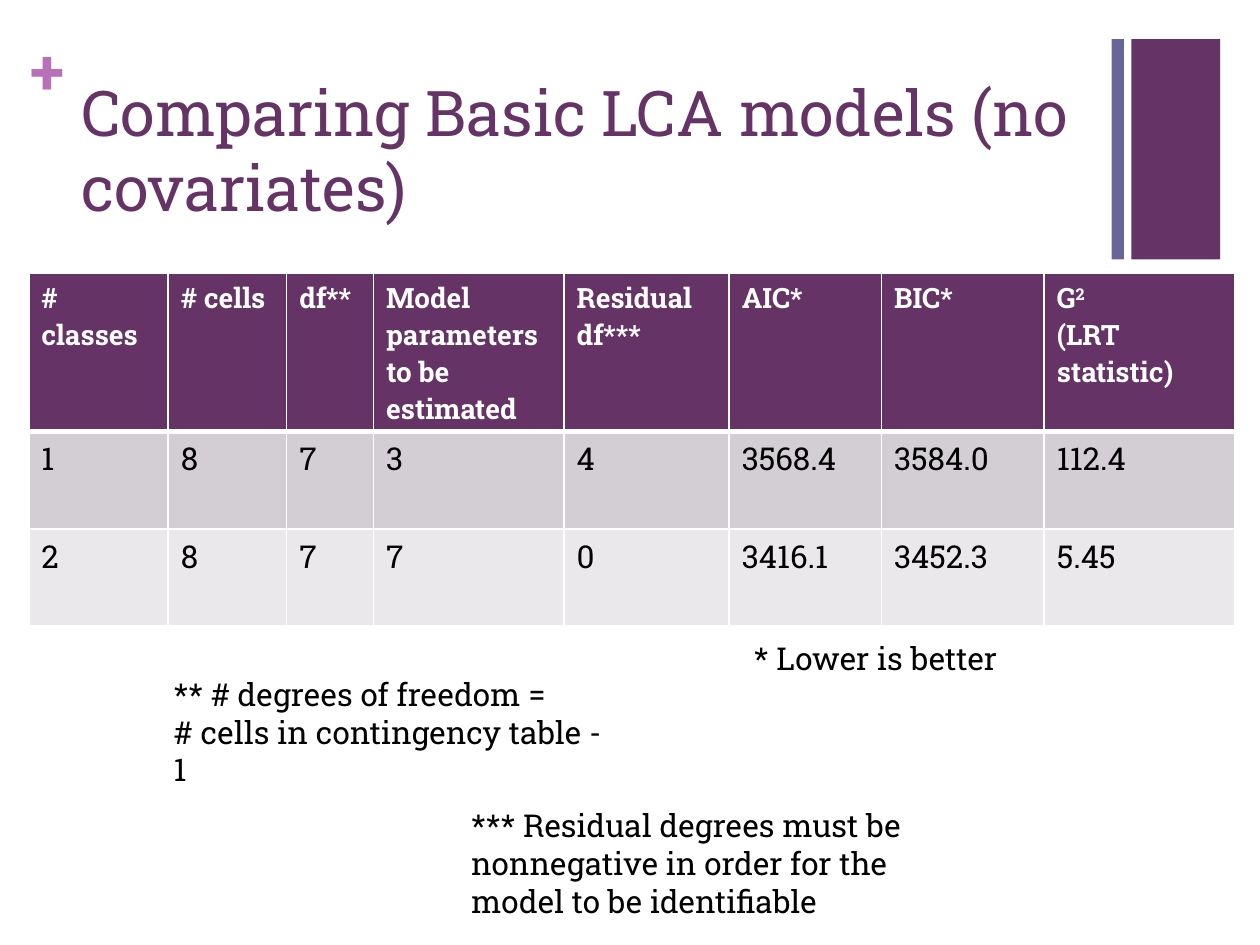
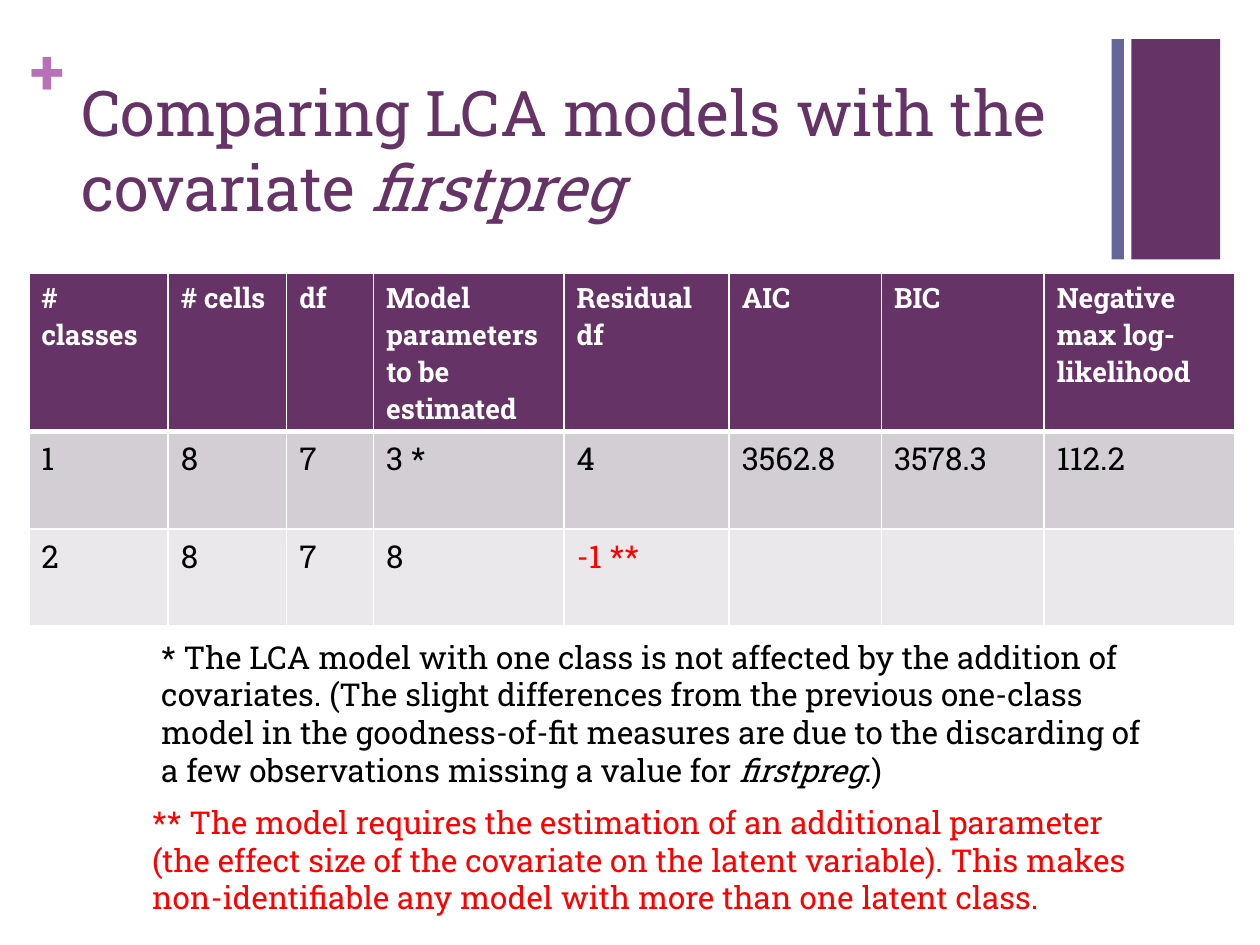
from lxml import etree
from pptx import Presentation
from pptx.dml.color import RGBColor
from pptx.enum import shapes, text
from pptx.oxml import ns
from pptx.util import Cm, Pt

FONT = "Roboto Slab"
PURPLE, SLATE, ORCHID = "663366", "666699", "B870B8"
BLACK, WHITE, RED = "000000", "FFFFFF", "FF0000"
BANDS = ["D3CED3", "EAE8EA"]
COLUMN_WIDTHS = [2.81, 2.39, 1.75, 3.84, 3.33, 3.07, 3.28, 3.84]
ROW_HEIGHTS = [3.19, 1.96, 1.96]  # the header holds four lines

TITLE_BOX = (1.38, 1.35, 20.98, 3.1)
BAND_BOX = (22.41, 0.79, 2.19, 4.44)
PLUS_BOX = (0.61, 0.64, 0.74, 1.55)
TABLE_BOX = (0.58, 5.51, sum(COLUMN_WIDTHS), sum(ROW_HEIGHTS))


def rgb(color):
    return RGBColor.from_string(color)


def lengths(box):
    return [Cm(value) for value in box]


def write(frame, paragraphs, size, color, bold=False):
    """Each paragraph is a list of runs: plain text, or (text, style)."""
    for index, runs in enumerate(paragraphs):
        line = frame.add_paragraph() if index else frame.paragraphs[0]
        line.alignment = text.PP_ALIGN.LEFT
        for part in runs:
            words, style = (part, "") if isinstance(part, str) else part
            run = line.add_run()
            run.text = words
            run.font.name, run.font.size = FONT, Pt(size)
            run.font.bold = bold
            run.font.color.rgb = rgb(color)
            if style == "italic":
                run.font.italic = True
            elif style == "super":
                run._r.get_or_add_rPr().set("baseline", "30000")


def add_text(slide, box, paragraphs, size=18, color=BLACK, bold=False, margins=True):
    frame = slide.shapes.add_textbox(*lengths(box)).text_frame
    frame.word_wrap = True
    if not margins:
        frame.margin_left = frame.margin_right = 0
        frame.margin_top = frame.margin_bottom = 0
    write(frame, paragraphs, size, color, bold)


def add_bar(slide, box, color):
    bar = slide.shapes.add_shape(shapes.MSO_SHAPE.RECTANGLE, *lengths(box))
    bar.shadow.inherit = False
    bar.fill.solid()
    bar.fill.fore_color.rgb = rgb(color)
    bar.line.fill.background()


def add_decoration(slide, band_box, plus_box):
    left, top, width, height = band_box
    stripe, inset = 0.25, 0.4
    add_bar(slide, (left, top, stripe, height), SLATE)
    add_bar(slide, (left + inset, top, width - inset, height), PURPLE)
    add_text(slide, plus_box, [["+"]], 36, ORCHID, bold=True, margins=False)


def add_title(slide, box, runs):
    title = slide.shapes.title
    title.left, title.top, title.width, title.height = lengths(box)
    frame = title.text_frame
    frame.word_wrap = True
    frame.auto_size = text.MSO_AUTO_SIZE.NONE
    frame.vertical_anchor = text.MSO_ANCHOR.TOP
    write(frame, [runs], 36, PURPLE)


def set_borders(cell, bottom):
    props = cell._tc.get_or_add_tcPr()
    # Border lines come before the fill in the cell properties
    for index, (side, width) in enumerate(
            [("lnL", 1), ("lnR", 1), ("lnT", 1), ("lnB", bottom)]):
        line = etree.Element(ns.qn("a:" + side), w=str(Pt(width)))
        fill = etree.SubElement(line, ns.qn("a:solidFill"))
        etree.SubElement(fill, ns.qn("a:srgbClr"), val=WHITE)
        props.insert(index, line)


def add_model_table(slide, box, rows, warnings=()):
    table = slide.shapes.add_table(len(rows), len(rows[0]), *lengths(box)).table
    for column, width in zip(table.columns, COLUMN_WIDTHS):
        column.width = Cm(width)
    for row, height in zip(table.rows, ROW_HEIGHTS):
        row.height = Cm(height)
    for r, values in enumerate(rows):
        header = r == 0
        for c, value in enumerate(values):
            cell = table.cell(r, c)
            cell.fill.solid()
            cell.fill.fore_color.rgb = rgb(PURPLE if header else BANDS[r - 1])
            set_borders(cell, bottom=3 if header else 1)
            if not value:
                continue
            paragraphs = [[value]] if isinstance(value, str) else value
            if header:
                write(cell.text_frame, paragraphs, 16, WHITE, bold=True)
            else:
                color = RED if value in warnings else BLACK
                write(cell.text_frame, paragraphs, 18, color)


def add_comparison(deck, title, rows, notes, warnings=()):
    slide = deck.slides.add_slide(deck.slide_layouts[5])
    add_decoration(slide, BAND_BOX, PLUS_BOX)
    add_title(slide, TITLE_BOX, title)
    add_model_table(slide, TABLE_BOX, rows, warnings)
    for box, paragraphs, color in notes:
        add_text(slide, box, paragraphs, color=color)


deck = Presentation()
deck.slide_width, deck.slide_height = Cm(25.4), Cm(19.05)

# Models without covariates
add_comparison(
    deck,
    ["Comparing Basic LCA models (no covariates)"],
    [["# classes", "# cells", "df**", "Model parameters to be estimated",
      "Residual df***", "AIC*", "BIC*",
      [["G", ("2 ", "super")], ["(LRT statistic)"]]],
     ["1", "8", "7", "3", "4", "3568.4", "3584.0", "112.4"],
     ["2", "8", "7", "7", "0", "3416.1", "3452.3", "5.45"]],
    [((14.95, 12.75, 6.2, 1.02), [["* Lower is better"]], BLACK),
     ((3.25, 13.48, 9.42, 1.8),
      [["** # degrees of freedom = "], ["# cells in contingency table - 1 "]], BLACK),
     ((9.25, 16.13, 9.3, 2.57),
      [["*** Residual degrees must be nonnegative in order for the model "
        "to be identifiable"]], BLACK)])

# Models with one covariate
add_comparison(
    deck,
    ["Comparing LCA models with the covariate ", ("firstpreg", "italic")],
    [["# classes", "# cells", "df", "Model parameters to be estimated",
      "Residual df", "AIC", "BIC", "Negative max log-likelihood"],
     ["1", "8", "7", "3 *", "4", "3562.8", "3578.3", "112.2"],
     ["2", "8", "7", "8", "-1 **", "", "", ""]],
    [((2.82, 16.06, 20.17, 2.57),
      [["** The model requires the estimation of an additional parameter (the "
        "effect size of the covariate on the latent variable). This makes "
        "non-identifiable any model with more than one latent class."]], RED),
     ((3.0, 12.73, 20.68, 3.33),
      [["* The LCA model with one class is not affected by the addition of "
        "covariates. (The slight differences from the previous one-class model "
        "in the goodness-of-fit measures are due to the discarding of a few "
        "observations missing a value for ", ("firstpreg", "italic"), ".)"]], BLACK)],
    warnings=["-1 **"])

deck.save("out.pptx")
